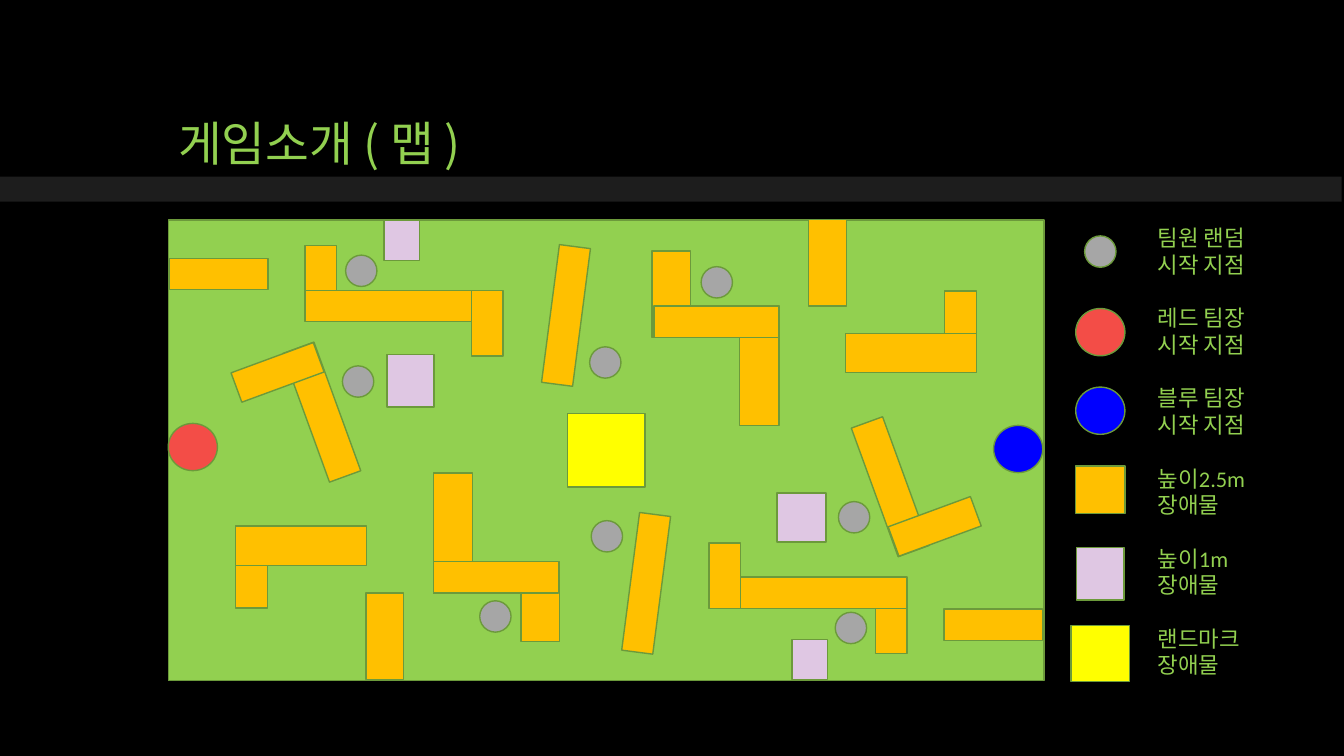
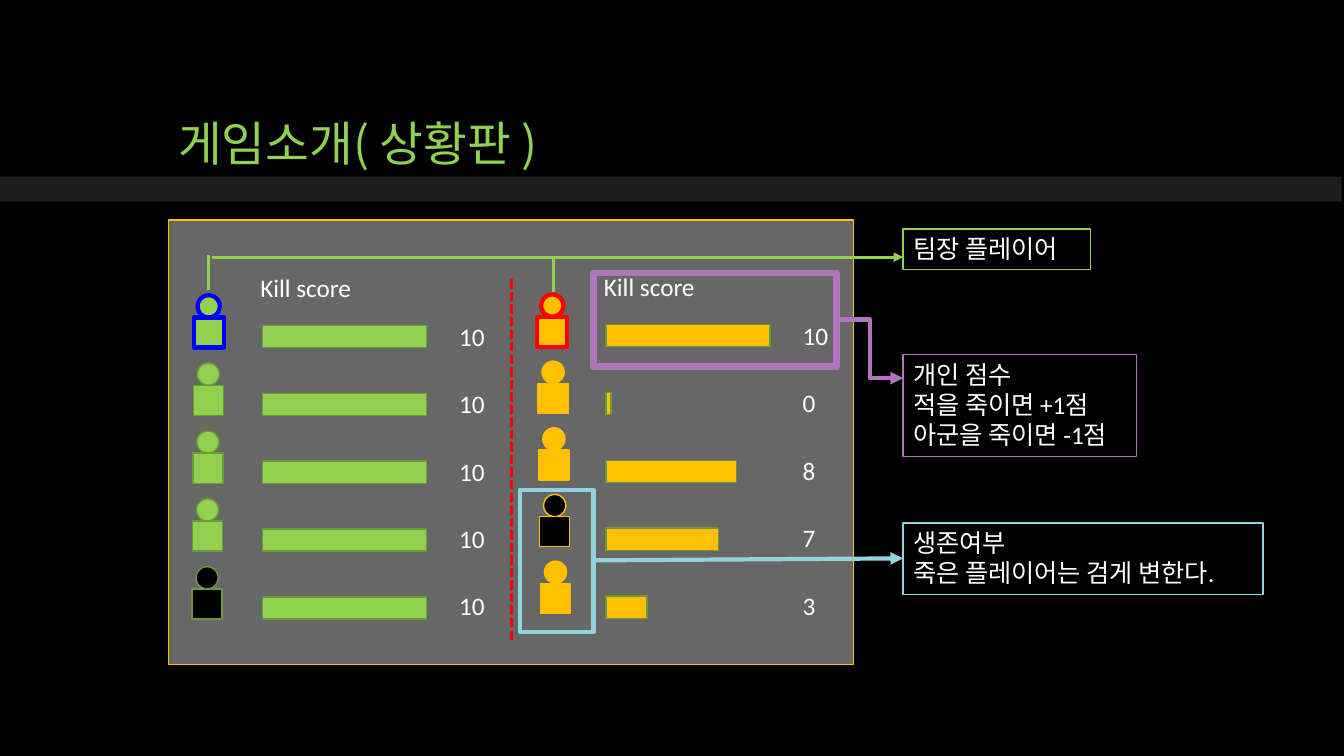
from lxml import etree
from pptx import Presentation
from pptx import util as u
from pptx.dml import color as c
from pptx.enum import dml, shapes, text
from pptx.oxml import ns

GREEN, EDGE, GOLD = "92D050", "6C9A3B", "FFC000"
RED, BLUE, GRAY = "F34D47", "0000FF", "A6A6A6"
PINK, SUN, BLACK, WHITE = "DFC7E3", "FFFF00", "000000", "FFFFFF"
PURE, MAUVE, AQUA = "FF0000", "B074BA", "91D4DD"
SANS, KOR = "Calibri", "Noto Sans CJK KR"
RECT, OVAL = shapes.MSO_SHAPE.RECTANGLE, shapes.MSO_SHAPE.OVAL
LINE, BENT = shapes.MSO_CONNECTOR.STRAIGHT, shapes.MSO_CONNECTOR.ELBOW

BARS = [
    (0.03, 0.97, 2.49, 0.79, 0),
    (3.45, 3.12, 0.84, 3.45, -20),
    (1.7, 7.72, 3.3, 0.99, 0),
    (3.45, 1.78, 4.98, 0.79, 0),
    (7.65, 1.78, 0.79, 1.65, 0),
    (9.63, 0.66, 0.79, 3.5, 7.4),
    (3.45, 0.64, 0.79, 1.14, 0),
    (6.68, 6.38, 0.99, 3.02, 0),
    (4.98, 9.4, 0.95, 2.18, 0),
    (1.7, 8.71, 0.81, 1.07, 0),
    (6.68, 8.61, 3.15, 0.79, 0),
    (1.65, 3.45, 2.21, 0.79, -20.2),
]
ENDS = [(8.89, 8.61, 0.97, 2.01), (12.19, 0.79, 0.97, 2.18)]
DOTS = [(4.47, 0.89), (10.62, 3.2), (7.85, 9.6), (4.39, 3.68)]
LOWS = [
    (15.34, 6.88, 1.24, 1.24),
    (5.51, 3.4, 1.19, 1.32),
    (15.72, 10.57, 0.89, 1.02),
    (5.44, 0, 0.89, 1.02),
]
KEYS = [
    (OVAL, GRAY, 0.79, 0.79, 0.8, "팀원 랜덤", "시작 지점"),
    (OVAL, RED, 1.24, 1.19, 2.83, "레드 팀장", "시작 지점"),
    (OVAL, BLUE, 1.24, 1.19, 4.81, "블루 팀장", "시작 지점"),
    (RECT, GOLD, 1.24, 1.19, 6.8, "높이2.5m", "장애물"),
    (RECT, PINK, 1.19, 1.32, 8.92, "높이1m", "장애물"),
    (RECT, SUN, 1.47, 1.4, 10.93, "랜드마크", "장애물"),
]
HOME = [
    (10, 4.14, GREEN, BLUE, 3),
    (10, 4.14, GREEN, EDGE, 1),
    (10, 4.14, GREEN, EDGE, 1),
    (10, 4.14, GREEN, EDGE, 1),
    (10, 4.14, BLACK, EDGE, 1),
]
AWAY = [
    (10, 4.14, GOLD, PURE, 3),
    (0, 0.13, GOLD, GOLD, 1),
    (8, 3.3, GOLD, GOLD, 1),
    (7, 2.84, BLACK, GOLD, 1),
    (3, 1.04, GOLD, GOLD, 1),
]


def rgb(tone):
    return c.RGBColor.from_string(tone)


def put(item, vals):
    for key, val in vals.items():
        setattr(item, key, val)


def draw(s, form, x, y, w, h, fill=None, edge=EDGE, wide=1, turn=0):
    item = s.shapes.add_shape(form, *map(u.Cm, (x, y, w, h)))
    put(item, {"rotation": turn})
    item.shadow.inherit = False
    if fill:
        item.fill.solid()
        item.fill.fore_color.rgb = rgb(fill)
    else:
        item.fill.background()
    if edge:
        item.line.color.rgb = rgb(edge)
        item.line.width = u.Pt(wide)
    else:
        item.line.fill.background()
    return item


def join(s, form, x, y, x2, y2, tone, wide, tip=False):
    item = s.shapes.add_connector(form, *map(u.Cm, (x, y, x2, y2)))
    item.line.color.rgb = rgb(tone)
    item.line.width = u.Pt(wide)
    if tip:
        end = etree.SubElement(item.line._get_or_add_ln(), ns.qn("a:tailEnd"))
        end.set("type", "triangle")
    etree.SubElement(item._element.spPr, ns.qn("a:effectLst"))
    return item


def write(item, rows, size, tone=WHITE, font=SANS, lead=None, gap=0, step=1,
          side=text.MSO_ANCHOR.TOP):
    frame = item.text_frame
    put(frame, {"word_wrap": True, "vertical_anchor": side, "margin_right": 0})
    for n, row in enumerate(rows):
        para = frame.paragraphs[0] if n == 0 else frame.add_paragraph()
        put(para, {
            "alignment": text.PP_ALIGN.LEFT,
            "line_spacing": lead or u.Pt(round(size * 1.19, 1)),
            "space_before": u.Pt(gap if n and n % step == 0 else 0),
        })
        run = para.add_run()
        run.text = row
        put(run.font, {"name": font, "size": u.Pt(size)})
        run.font.color.rgb = rgb(tone)
        east = etree.SubElement(run.font._element, ns.qn("a:ea"))
        east.set("typeface", KOR)


def label(s, x, y, w, h, rows, size, **kind):
    write(s.shapes.add_textbox(*map(u.Cm, (x, y, w, h))), rows, size, **kind)


def base(deck, title):
    s = deck.slides.add_slide(deck.slide_layouts[6])
    s.background.fill.solid()
    s.background.fill.fore_color.rgb = rgb(BLACK)
    draw(s, RECT, -0.05, 4.45, 33.86, 0.63, "1D1D1D", None)
    label(s, 4.24, 1.27, 25.4, 3.18, [title], 34, tone=GREEN, font=KOR,
          lead=0.9, side=text.MSO_ANCHOR.BOTTOM)
    return s


def field(s, x, y, w, h):
    draw(s, RECT, x, y, w, h, GREEN)

    def pair(form, dx, dy, pw, ph, fill, turn=0):
        for px, py in ((dx, dy), (w - dx - pw, h - dy - ph - 0.04)):
            draw(s, form, x + px, y + py, pw, ph, fill, turn=turn)

    for dx, dy in DOTS:
        pair(OVAL, dx, dy, 0.79, 0.79, GRAY)
    for dx, dy, fill in ((0, 5.13, RED), (20.8, 5.18, BLUE)):
        draw(s, OVAL, x + dx, y + dy, 1.24, 1.19, fill)
    draw(s, RECT, x + 10.06, y + 4.88, 1.96, 1.85, SUN)
    for dx, dy, pw, ph in ENDS:
        draw(s, RECT, x + dx, y + dy, pw, ph, GOLD)
    for dx, dy, pw, ph, turn in BARS:
        pair(RECT, dx, dy, pw, ph, GOLD, turn)
    for dx, dy, pw, ph in LOWS:
        draw(s, RECT, x + dx, y + dy, pw, ph, PINK)


def legend(s, x, y, w, h):
    for form, fill, kw, kh, mid, *_ in KEYS:
        draw(s, form, x + 0.73 - kw / 2, y + mid - kh / 2, kw, kh, fill)
    rows = [row for key in KEYS for row in key[5:]]
    label(s, x + 1.93, y, w - 1.93, h, rows, 16, tone=GREEN, gap=19.2, step=2)


def team(s, x, y, rows, tone, step, lean):
    label(s, x + 1.05, y - 0.69, 3.05, 0.97, ["Kill score"], 18)
    for n, (score, wide, fill, edge, thick) in enumerate(rows):
        mid, top = x + lean * n, y + step * n
        draw(s, OVAL, mid - 0.28, top, 0.56, 0.56, fill, edge, thick)
        draw(s, RECT, mid - 0.38, top + 0.56, 0.76, 0.76, fill, edge, thick)
        draw(s, RECT, x + 1.35, y + 0.76 + 1.71 * n, wide, 0.56, tone)
        label(s, x + 6.06, y + 0.53 + 1.7 * n, 1.24, 0.97, [str(score)], 18)


def board(s, x, y, w, h):
    draw(s, RECT, x, y, w, h, "676767", GOLD)
    team(s, x + 1.02, y + 1.9, HOME, GREEN, 1.71, -0.01)
    team(s, x + 9.68, y + 1.88, AWAY, GOLD, 1.68, 0.02)
    rule = join(s, LINE, x + 8.64, y + 1.5, x + 8.64, y + 10.61, PURE, 2.25)
    rule.line.dash_style = dml.MSO_LINE.SQUARE_DOT


def notes(s, x, y):
    for dx, dy, w, h, tone, wide in (
        (8.87, 6.8, 1.85, 3.58, AQUA, 3),
        (10.72, 1.34, 6.12, 2.36, MAUVE, 4.5),
    ):
        draw(s, RECT, x + dx, y + dy, w, h, None, tone, wide)
    for dy, w, h, tone, rows in (
        (0.23, 4.72, 1.02, GREEN, ["팀장 플레이어"]),
        (3.4, 5.89, 2.57, MAUVE,
         ["개인 점수", "적을 죽이면 +1점", "아군을 죽이면 -1점"]),
        (7.64, 9.07, 1.8, AQUA, ["생존여부", "죽은 플레이어는 검게 변한다."]),
    ):
        write(draw(s, RECT, x + 18.52, y + dy, w, h, None, tone), rows, 18)
    for form, dx, dy, ex, ey, tone, wide, tip in (
        (BENT, 16.84, 2.51, 18.52, 3.99, MAUVE, 3, True),
        (LINE, 10.72, 8.58, 18.52, 8.53, AQUA, 3, True),
        (LINE, 1.02, 0.89, 1.02, 1.78, GREEN, 2.25, False),
        (LINE, 9.7, 0.94, 9.7, 1.83, GREEN, 2.25, False),
        (LINE, 1.09, 0.94, 18.52, 0.94, GREEN, 2.25, True),
    ):
        join(s, form, x + dx, y + dy, x + ex, y + ey, tone, wide, tip)


def main():
    deck = Presentation()
    put(deck, {"slide_width": u.Cm(33.87), "slide_height": u.Cm(19.05)})
    s = base(deck, "게임소개 ( 맵 )")
    field(s, 4.24, 5.54, 22.07, 11.61)
    legend(s, 27, 5.54, 5.82, 11.89)
    s = base(deck, "게임소개( 상황판 )")
    board(s, 4.24, 5.54, 17.27, 11.2)
    notes(s, 4.24, 5.54)
    deck.save("out.pptx")


if __name__ == "__main__":
    main()
